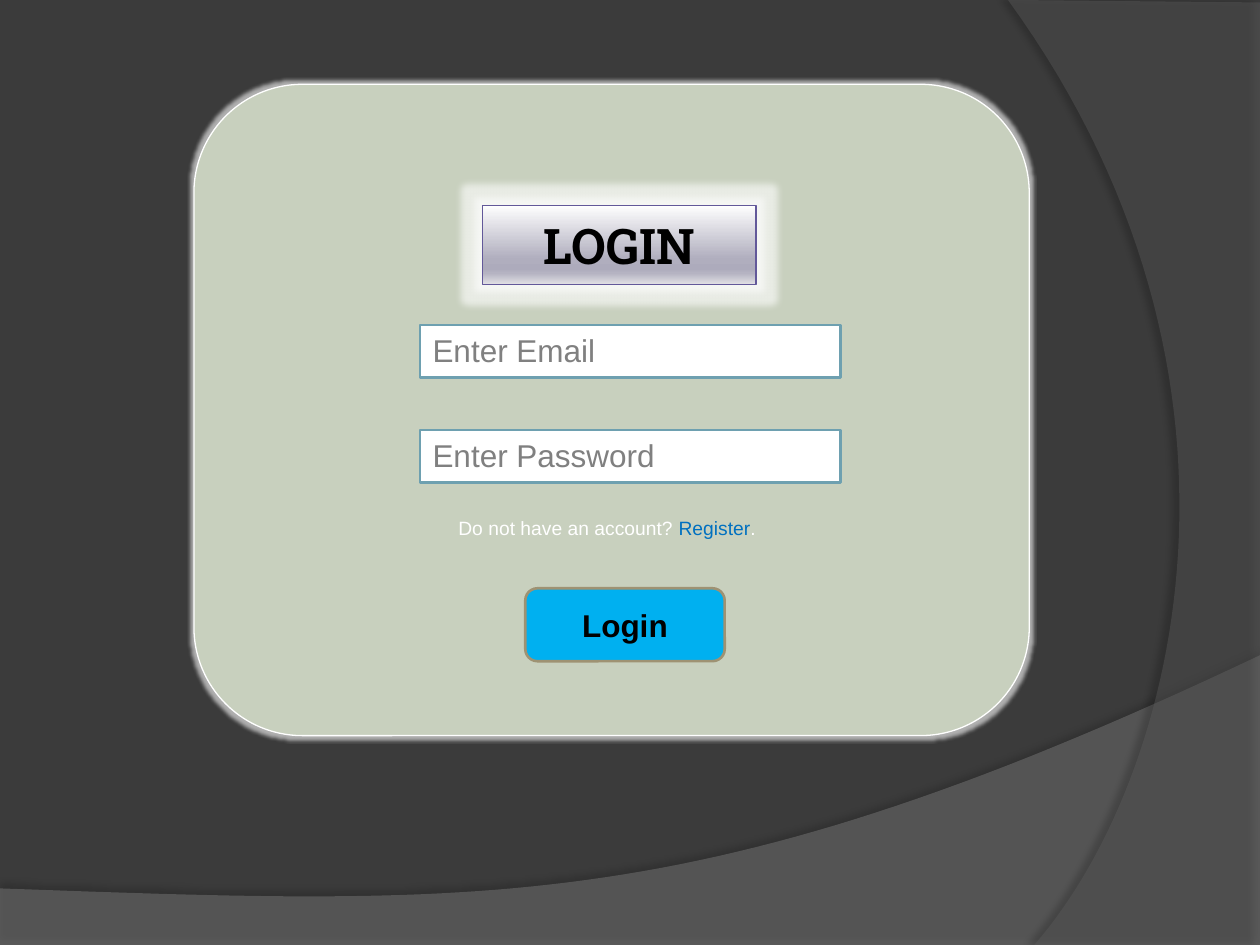
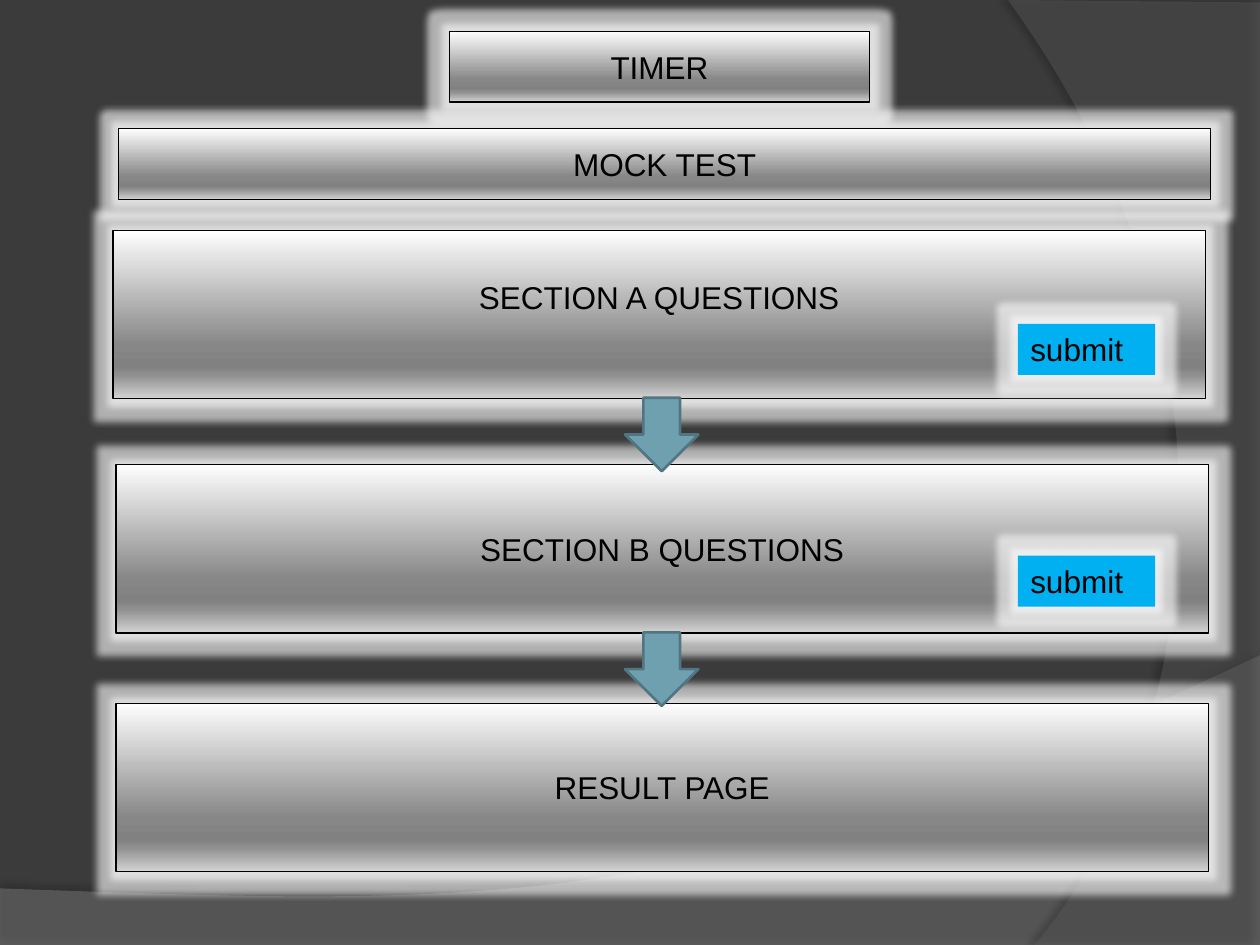
"""Build a login screen slide and a mock test flow slide on a shared dark background."""
from dataclasses import dataclass

from lxml import etree
from pptx import Presentation
from pptx.dml.color import RGBColor
from pptx.enum.shapes import MSO_SHAPE
from pptx.enum.text import MSO_ANCHOR, PP_ALIGN
from pptx.oxml import parse_xml
from pptx.oxml.ns import nsdecls, qn
from pptx.util import Cm, Pt

RECTANGLE = MSO_SHAPE.RECTANGLE
ROUNDED = MSO_SHAPE.ROUNDED_RECTANGLE
DOWN_ARROW = MSO_SHAPE.DOWN_ARROW
TOP, MIDDLE = MSO_ANCHOR.TOP, MSO_ANCHOR.MIDDLE
LEFT, CENTER = PP_ALIGN.LEFT, PP_ALIGN.CENTER


@dataclass(frozen=True)
class Theme:
    background: str = "3B3B3B"
    swoosh: str = "7F7F7F"
    arc: str = "5E5E5E"
    card: str = "C8D0BE"
    white: str = "FFFFFF"
    black: str = "000000"
    hint: str = "808080"
    link: str = "0070C0"
    button: str = "00B0F0"
    button_line: str = "9E9273"
    teal: str = "6EA0B0"
    teal_line: str = "517682"
    violet_line: str = "625899"
    violet_metal: tuple = ("FEFEFE", "B0AEBE", "ADABBC", "B5B3C2", "E0DFE4")
    grey_metal: tuple = ("FEFEFE", "878787", "818181", "909090", "D3D3D3")
    metal_stops: tuple = (0, 68, 81, 86, 100)
    font: str = "Arial"
    title_font: str = "Roboto Slab"
    title_size: int = 28
    body_size: int = 18
    small_size: int = 11
    thin: float = 0.75
    thick: float = 1.5


theme = Theme()


def add_effect(shape, tag, color, alpha, **lengths):
    """Give the shape one glow or shadow."""
    shape.shadow.inherit = False
    effects = shape.element.spPr.find(qn("a:effectLst"))
    effect = etree.SubElement(effects, qn(tag), {name: str(value) for name, value in lengths.items()})
    color_node = etree.SubElement(effect, qn("a:srgbClr"), val=color)
    etree.SubElement(color_node, qn("a:alpha"), val=str(alpha * 1000))


def add_box(slide, kind, box, fill, line=None, width=theme.thin, text="", color=theme.black,
            font=theme.font, size=theme.body_size, bold=False, align=CENTER, anchor=MIDDLE, glow=0):
    """Add a shape with a plain or metallic fill, an optional glow and one line of text."""
    shape = slide.shapes.add_shape(kind, *[Cm(length) for length in box])
    shape.shadow.inherit = False
    if isinstance(fill, tuple):
        shape.fill.gradient()
        shape.fill.gradient_angle = 270
        stops = shape.element.spPr.find(".//" + qn("a:gsLst"))
        stops[:] = [
            parse_xml(f'<a:gs {nsdecls("a")} pos="{stop * 1000}"><a:srgbClr val="{stop_color}"/></a:gs>')
            for stop, stop_color in zip(theme.metal_stops, fill)
        ]
    else:
        shape.fill.solid()
        shape.fill.fore_color.rgb = RGBColor.from_string(fill)
    if line:
        shape.line.color.rgb = RGBColor.from_string(line)
        shape.line.width = Pt(width)
    else:
        shape.line.fill.background()
    if glow:
        add_effect(shape, "a:glow", theme.white, 60, rad=Pt(glow))
    if text:
        shape.text_frame.text = text
        shape.text_frame.vertical_anchor = anchor
        paragraph = shape.text_frame.paragraphs[0]
        paragraph.alignment = align
        run_font = paragraph.runs[0].font
        run_font.name, run_font.size, run_font.bold = font, Pt(size), bold
        run_font.color.rgb = RGBColor.from_string(color)
    return shape


presentation = Presentation()
presentation.slide_width, presentation.slide_height = Cm(25.4), Cm(19.05)
master = presentation.slide_master
master.background.fill.solid()
master.background.fill.fore_color.rgb = RGBColor.from_string(theme.background)
login_slide, test_slide = [presentation.slides.add_slide(presentation.slide_layouts[6]) for _ in range(2)]

background_curves = [
    ([(0, 17.91), (0, 19.07), (25.4, 19.07)],
     [(25.4, 13.21), (14.2, 18.52), (9.93, 18.26), (0, 17.91)], theme.swoosh, 45, 35, 3.5, 270),
    ([(25.4, 0.05), (25.4, 19.05)],
     [(20.85, 19.05), (23.75, 15.72), (25.86, 7.62), (20.32, 0)], theme.arc, 40, 45, 4, 180),
]
for number, (corners, controls, color, alpha, shade, distance, angle) in enumerate(background_curves):
    points = list(corners)
    for step in range(61):
        t = step / 60
        weights = ((1 - t) ** 3, 3 * t * (1 - t) ** 2, 3 * t ** 2 * (1 - t), t ** 3)
        points.append([sum(w * point[axis] for w, point in zip(weights, controls)) for axis in (0, 1)])
    points = [(Cm(x), Cm(y)) for x, y in points]
    builder = login_slide.shapes.build_freeform(*points[0])
    builder.add_line_segments(points[1:])
    curve = builder.convert_to_shape()
    curve.fill.solid()
    curve.fill.fore_color.rgb = RGBColor.from_string(color)
    color_node = curve.element.spPr.find(qn("a:solidFill"))[0]
    etree.SubElement(color_node, qn("a:alpha"), val=str(alpha * 1000))
    curve.line.fill.background()
    add_effect(curve, "a:outerShdw", theme.black, shade,
               blurRad=Pt(4), dist=Pt(distance), dir=angle * 60000)
    curve.element.nvSpPr.cNvPr.set("id", str(100 + number))
    master.shapes.element.append(curve.element)

add_box(login_slide, ROUNDED, (3.91, 1.7, 16.84, 13.13), theme.card, theme.white, glow=4)
add_box(login_slide, RECTANGLE, (9.73, 4.14, 5.51, 1.59), theme.violet_metal, theme.violet_line,
        text="LOGIN", font=theme.title_font, size=theme.title_size, bold=True, glow=8)
add_box(login_slide, ROUNDED, (10.59, 11.86, 4.02, 1.47), theme.button, theme.button_line, theme.thick,
        text="Login", bold=True)
for top, hint in ((6.55, "Enter Email"), (8.67, "Enter Password")):
    add_box(login_slide, RECTANGLE, (8.47, top, 8.47, 1.06), theme.white, theme.teal, theme.thick,
            text=hint, color=theme.hint, align=LEFT, anchor=TOP)

register_note = login_slide.shapes.add_textbox(Cm(8.99), Cm(10.29), Cm(7.42), Cm(0.74))
register_note.text_frame.word_wrap = True
paragraph = register_note.text_frame.paragraphs[0]
for text, color in (("Do not have an account? ", theme.white), ("Register", theme.link), (".", theme.white)):
    run = paragraph.add_run()
    run.text = text
    run.font.name, run.font.size = theme.font, Pt(theme.small_size)
    run.font.color.rgb = RGBColor.from_string(color)

test_bars = [
    ("TIMER", (9.06, 0.63, 8.47, 1.43), 0),
    ("MOCK TEST", (2.39, 2.59, 22.02, 1.43), 0),
    ("SECTION A QUESTIONS", (2.28, 4.65, 22.02, 3.39), 0.73),
    ("SECTION B QUESTIONS", (2.34, 9.37, 22.02, 3.39), 0),
    ("RESULT PAGE", (2.34, 14.18, 22.02, 3.39), 0),
]
for text, box, lift in test_bars:
    bar = add_box(test_slide, RECTANGLE, box, theme.grey_metal, theme.black, text=text, glow=8)
    bar.text_frame.margin_bottom = Cm(0.13 + lift)
for top in (6.53, 11.2):
    add_box(test_slide, RECTANGLE, (20.52, top, 2.77, 1.03), theme.button,
            text="submit", align=LEFT, anchor=TOP, glow=8)
for top in (8.02, 12.75):
    add_box(test_slide, DOWN_ARROW, (12.6, top, 1.48, 1.48), theme.teal, theme.teal_line, theme.thick)

presentation.save("out.pptx")
